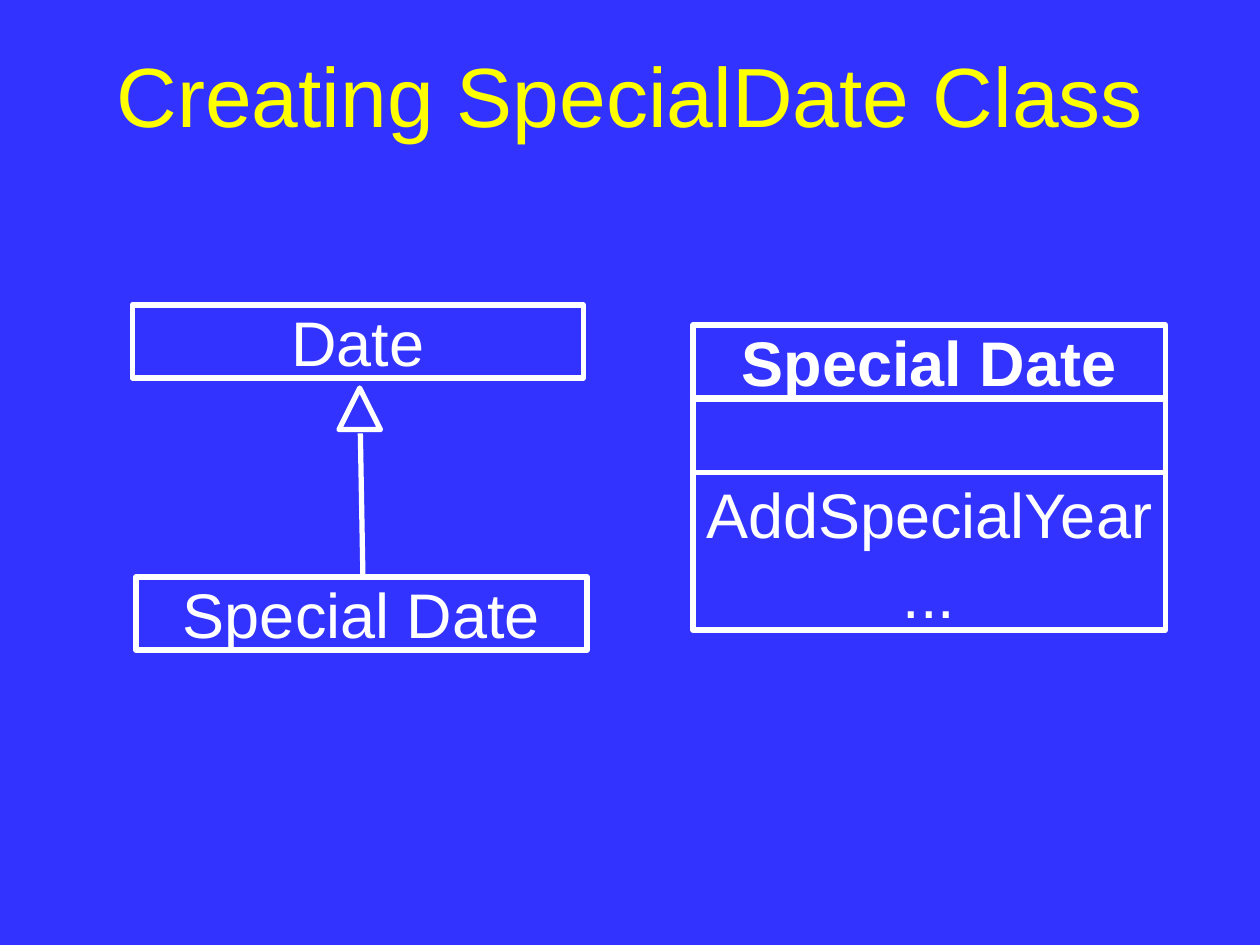
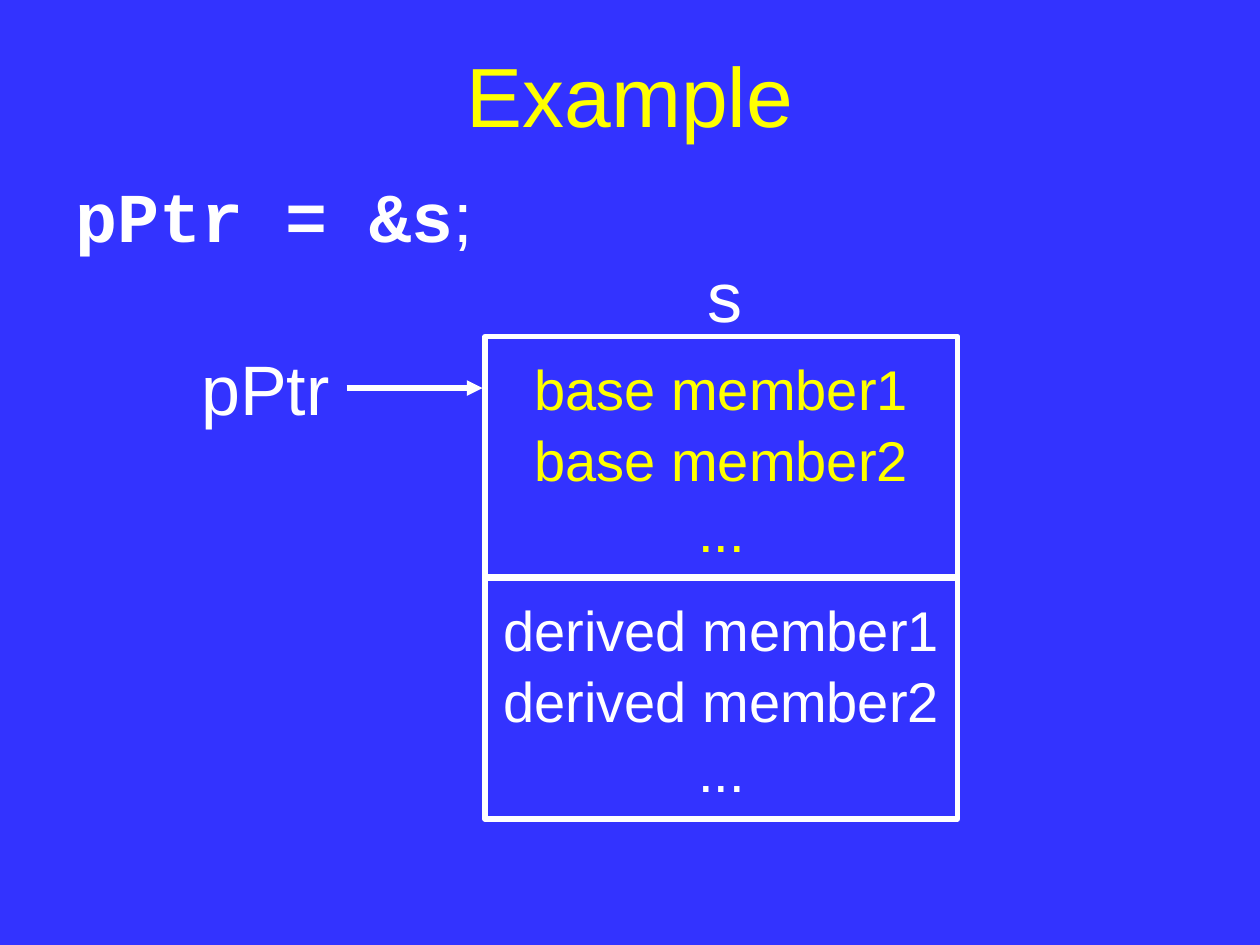
from lxml import etree
from pptx import Presentation
from pptx.dml.color import RGBColor
from pptx.enum.shapes import MSO_CONNECTOR as Connector, MSO_SHAPE as Shape
from pptx.enum.text import MSO_ANCHOR as Anchor, MSO_AUTO_SIZE as AutoSize, PP_ALIGN as Align
from pptx.oxml.ns import qn
from pptx.util import Inches, Pt

BLUE = RGBColor(0x33, 0x33, 0xFF)
YELLOW = RGBColor(0xFF, 0xFF, 0x00)
WHITE = RGBColor(0xFF, 0xFF, 0xFF)
LINE_WIDTH = Pt(3)
TITLE_ONLY, TITLE_AND_BODY = 5, 1


def write(holder, lines, size=36, color=WHITE, font="Arial", bold=False,
          align=Align.CENTER, anchor=Anchor.MIDDLE, wrap=False, spacing=1.0):
    """Fill a shape with one paragraph per line and return its text frame."""
    frame = holder.text_frame
    frame.text = "\n".join(lines)
    frame.word_wrap = wrap
    frame.auto_size = AutoSize.NONE
    frame.vertical_anchor = anchor
    for paragraph in frame.paragraphs:
        paragraph.alignment = align
        paragraph.line_spacing = spacing
        paragraph.space_before = Pt(0)
        for run in paragraph.runs:
            run.font.name = font
            run.font.size = Pt(size)
            run.font.bold = bold
            run.font.color.rgb = color
    return frame


def add_outline(shapes, left, top, width, height, preset=Shape.RECTANGLE):
    """Add an unfilled shape with a white border."""
    outline = shapes.add_shape(preset, Inches(left), Inches(top),
                               Inches(width), Inches(height))
    outline.shadow.inherit = False
    outline.fill.background()
    outline.line.color.rgb = WHITE
    outline.line.width = LINE_WIDTH
    return outline


prs = Presentation()
prs.slide_width, prs.slide_height = Inches(10), Inches(7.5)
background = prs.slide_master.background.fill
background.solid()
background.fore_color.rgb = BLUE

slides = []
for heading, layout in (("Creating SpecialDate Class", TITLE_ONLY),
                        ("Example", TITLE_AND_BODY)):
    slide = prs.slides.add_slide(prs.slide_layouts[layout])
    title = slide.shapes.title
    title.left, title.top = Inches(0.5), Inches(0.08)
    title.width, title.height = Inches(9), Inches(1.25)
    write(title, [heading], size=48, color=YELLOW, wrap=True, spacing=1.1)
    slides.append(slide)
class_slide, example_slide = slides

# Inheritance: SpecialDate derives from Date
inheritance = class_slide.shapes.add_group_shape().shapes
for class_name, left, top in (("Special Date", 1.08, 4.58), ("Date", 1.05, 2.42)):
    write(add_outline(inheritance, left, top, 3.58, 0.58), [class_name])
add_outline(inheritance, 2.69, 3.08, 0.33, 0.33, Shape.ISOSCELES_TRIANGLE)

# Class diagram: name, attributes, operations
class_diagram = class_slide.shapes.add_group_shape().shapes
for lines, top, height, bold, spacing in (
        (["Special Date"], 2.58, 0.58, True, 1.0),
        ([], 3.17, 0.58, False, 1.0),
        (["AddSpecialYear", "..."], 3.75, 1.25, False, 1.05)):
    compartment = add_outline(class_diagram, 5.5, top, 3.75, height)
    if lines:
        write(compartment, lines, bold=bold, spacing=spacing)

# Assignment statement
statement = example_slide.placeholders[1]
statement.left, statement.top = Inches(0.5), Inches(1.25)
statement.width, statement.height = Inches(9), Inches(5.75)
code = write(statement, ["pPtr = &s"], size=40, font="Courier New", bold=True,
             align=Align.LEFT, anchor=Anchor.TOP, wrap=True, spacing=1.1).paragraphs[0]
properties = code._p.get_or_add_pPr()
properties.set("marL", str(Inches(0.38)))
properties.set("indent", str(Inches(-0.38)))
etree.SubElement(properties, qn("a:buNone"))
semicolon = code.add_run()
semicolon.text = ";"
semicolon.font.name = "Arial"
semicolon.font.size = Pt(40)
semicolon.font.bold = False
semicolon.font.color.rgb = WHITE

# Memory layout of the object that the pointer refers to
memory = example_slide.shapes.add_group_shape().shapes
for part, top, color in (("derived", 4.58, WHITE), ("base", 2.67, YELLOW)):
    members = [f"{part} member1", f"{part} member2", "..."]
    write(add_outline(memory, 3.85, top, 3.75, 1.92), members,
          size=32, color=color, spacing=1.05)
for variable, left, top, width in (("s", 5.52, 1.92, 0.48), ("pPtr", 1.5, 2.66, 1.22)):
    label = memory.add_textbox(Inches(left), Inches(top), Inches(width), Inches(0.77))
    write(label, [variable], size=40, align=Align.LEFT, anchor=Anchor.TOP, spacing=1.05)

for shapes, ends, has_head in ((inheritance, (2.86, 3.44, 2.88, 4.56), False),
                               (memory, (2.75, 3.08, 3.83, 3.08), True)):
    link = shapes.add_connector(Connector.STRAIGHT, *(Inches(end) for end in ends))
    link.line.color.rgb = WHITE
    link.line.width = LINE_WIDTH
    if has_head:
        etree.SubElement(link.line._get_or_add_ln(), qn("a:tailEnd"), type="triangle")
    etree.SubElement(link._element.spPr, qn("a:effectLst"))

prs.save("out.pptx")
